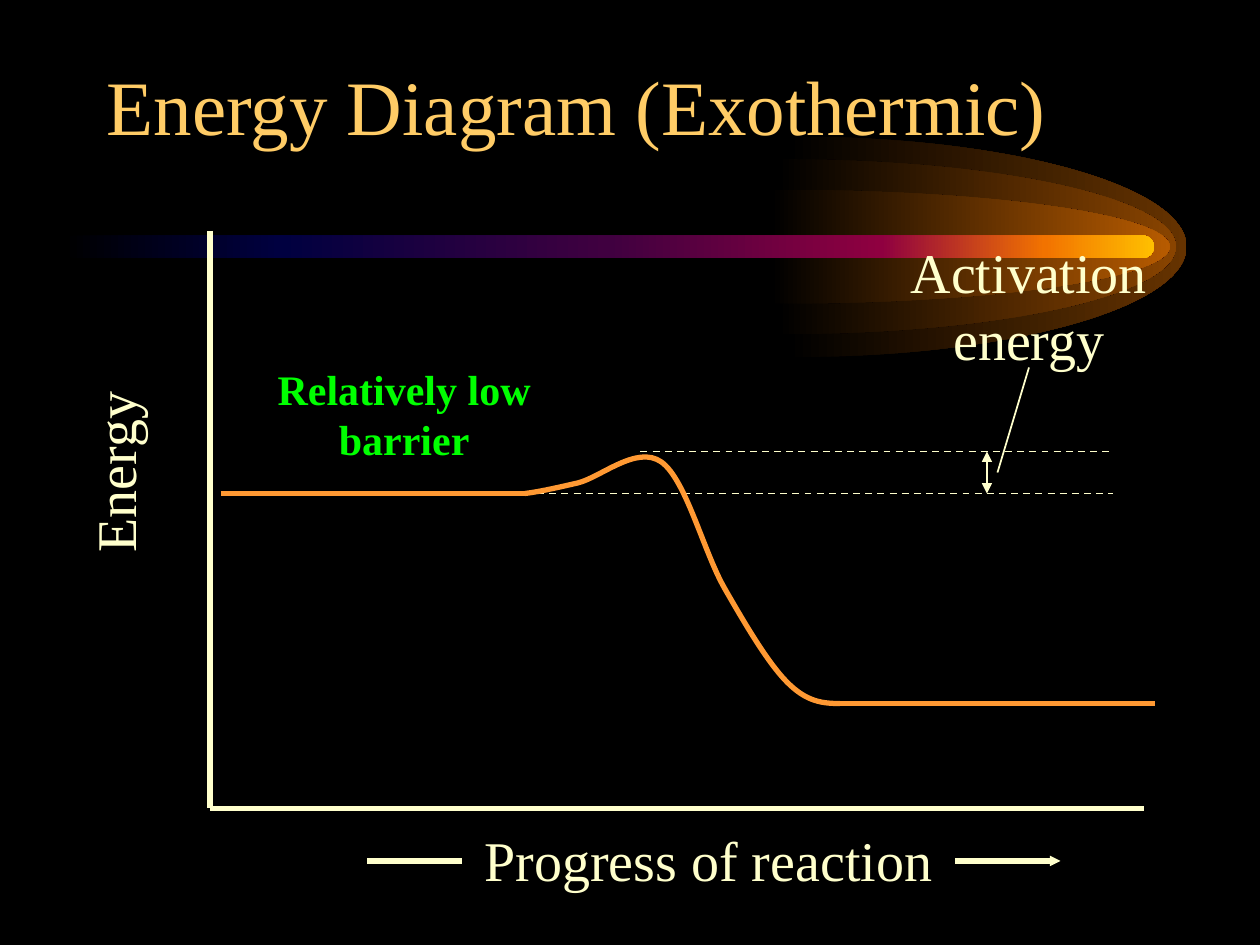
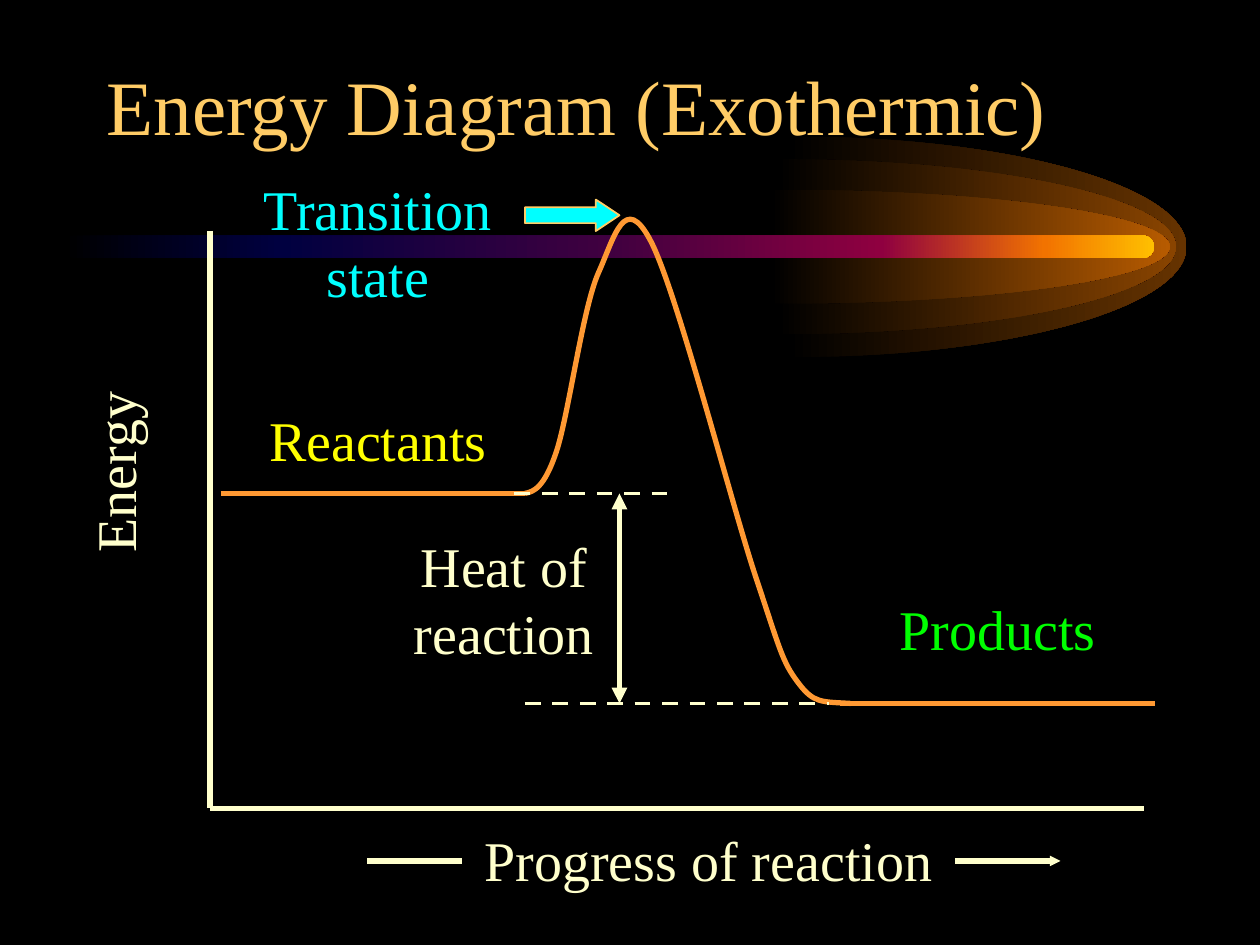
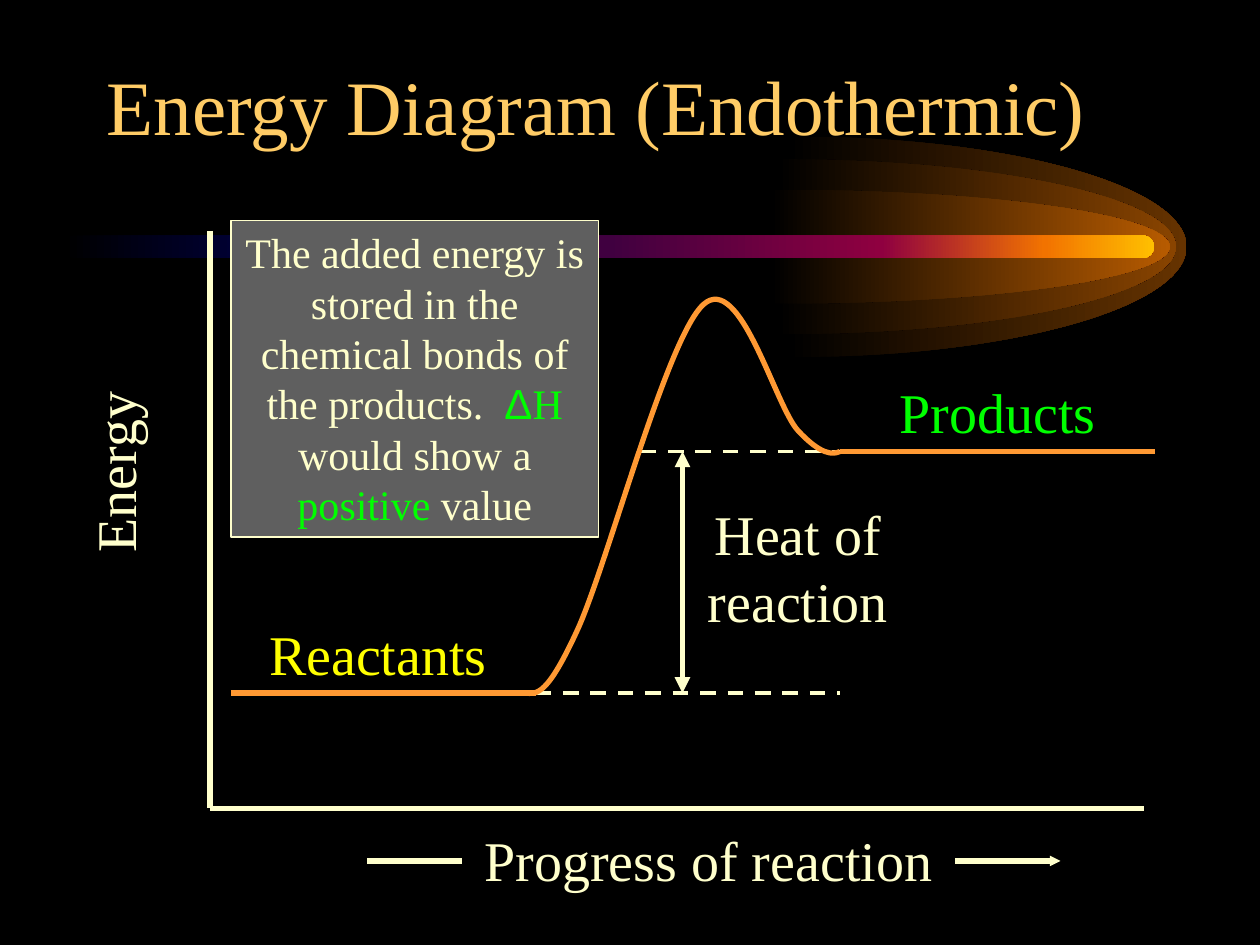
from dataclasses import dataclass
from typing import Any, Union

from lxml.etree import SubElement
from pptx import Presentation
from pptx.dml.color import RGBColor
from pptx.enum.dml import MSO_LINE
from pptx.enum.shapes import MSO_CONNECTOR, MSO_SHAPE
from pptx.enum.text import MSO_ANCHOR, PP_ALIGN
from pptx.oxml.ns import qn
from pptx.util import Pt

COLORS = {
    "black": "000000",
    "title": "FFCC66",
    "cream": "FFFFCC",
    "orange": "FF9933",
    "yellow": "FFFF00",
    "green": "00FF00",
    "cyan": "00FFFF",
    "gray": "5F5F5F",
    "glow_outer": "663300",
    "glow_middle": "894400",
    "glow_inner": "B75B00",
    "navy": "000040",
    "plum": "400040",
    "crimson": "8F0040",
    "flame": "F27300",
    "gold": "FFBF00",
}
SERIF = "Times New Roman"
BAND_Y = 141
LEFT_SIDE, RIGHT_SIDE = 1, 3
Point = tuple[float, float]
Segment = tuple[Point, Point, Point]


@dataclass(frozen=True)
class Run:
    text: str
    color: str = "cream"
    font: str = SERIF


@dataclass(frozen=True)
class Label:
    runs: tuple[Run, ...]
    left: float
    top: float
    width: float = 192
    height: float = 45.4
    size: float = 32
    bold: bool = False
    rotation: float = 0
    align: PP_ALIGN = PP_ALIGN.CENTER
    anchor: MSO_ANCHOR = MSO_ANCHOR.TOP
    fill: str = ""


@dataclass(frozen=True)
class Line:
    start: Point
    end: Point
    color: str = "cream"
    width: float = 3
    dashed: bool = False
    heads: tuple[str, ...] = ()
    head_size: str = "med"


@dataclass(frozen=True)
class Curve:
    start: Point
    segments: tuple[Segment, ...]
    corners: tuple[Point, ...] = ()


@dataclass(frozen=True)
class Pointer:
    left: float
    top: float
    width: float
    height: float


@dataclass(frozen=True)
class Glow:
    center_x: float
    radius_y: float
    color: str


@dataclass(frozen=True)
class Diagram:
    title: str
    items: tuple[Union[Label, Line, Curve, Pointer], ...]


BOTH = ("headEnd", "tailEnd")
GLOWS = (
    Glow(453, 63, "glow_outer"),
    Glow(447, 50, "glow_middle"),
    Glow(443.5, 32.6, "glow_inner"),
)
BAND_STOPS = ((0, "black"), (20, "navy"), (50, "plum"),
              (75, "crimson"), (90, "flame"), (100, "gold"))


def word(text: str, left: float, top: float, color: str = "cream", **options: Any) -> Label:
    return Label((Run(text, color),), left, top, **options)


def level(x1: float, x2: float, y: float) -> Line:
    return Line((x1, y), (x2, y), "orange")


def guide(x1: float, x2: float, y: float, width: float = 2.25) -> Line:
    return Line((x1, y), (x2, y), width=width, dashed=True)


def span(x: float, y1: float, y2: float, width: float = 3) -> Line:
    return Line((x, y1), (x, y2), width=width, heads=BOTH)


AXES = (Line((120, 132), (120, 462)), Line((120, 462), (654, 462)))
ENERGY = word("Energy", -31, 247, rotation=270)
PROGRESS = word("Progress of reaction", 264, 468, width=282, height=48)
PROGRESS_ARROW = Line((546, 492), (606, 492), heads=("tailEnd",), head_size="sm")
PROGRESS_LINE = Line((210, 492), (264, 492))

DIAGRAMS = (
    Diagram("Energy Diagram (Exothermic)", (
        level(126, 300, 282),
        level(480, 660, 402),
        word("Activation energy", 492, 132, height=84),
        guide(300, 636, 282, 1),
        guide(366, 636, 258, 1),
        word("Relatively low barrier", 126, 204, "green",
             width=210, height=65, size=24, bold=True),
        Curve((300, 282), (
            ((308, 281), (317, 279), (330, 276)),
            ((343, 273), (364, 254), (378, 264)),
            ((392, 274), (402, 315), (414, 336)),
            ((426, 357), (439, 379), (450, 390)),
            ((461, 401), (470, 402), (480, 402)),
        )),
        span(564, 258, 282, 1),
        Line((588, 210), (570, 270), width=1),
    )),
    Diagram("Energy Diagram (Exothermic)", (
        word("Reactants", 120, 228, "yellow"),
        level(126, 300, 282),
        level(480, 660, 402),
        Curve((300, 282), (
            ((305, 281), (311, 279), (318, 258)),
            ((325, 237), (333, 176), (342, 156)),
            ((351, 136), (357, 109), (372, 138)),
            ((387, 167), (418, 288), (432, 330)),
            ((446, 372), (447, 378), (456, 390)),
            ((465, 402), (469, 401), (486, 402)),
        )),
        word("Products", 474, 336, "green"),
        guide(294, 384, 282),
        guide(300, 474, 402),
        word("Heat of reaction", 192, 300, height=84),
        span(354, 282, 402),
        word("Transition state", 120, 96, "cyan", height=84),
        Pointer(300, 114, 54, 18),
    )),
    Diagram("Energy Diagram (Endothermic)", (
        word("Reactants", 120, 350.5, "yellow"),
        level(132, 306, 396),
        level(480, 660, 258),
        word("Products", 474, 212, "green"),
        guide(366, 480, 258),
        guide(306, 480, 396),
        word("Heat of reaction", 360, 282, height=84),
        span(390, 258, 396),
        Curve((300, 396), (
            ((307, 397), (313, 397), (330, 360)),
            ((347, 323), (381, 193), (402, 174)),
            ((423, 155), (443, 232), (456, 246)),
            ((469, 260), (476, 260), (480, 258)),
        )),
        Label((
            Run("The added energy is stored in the chemical bonds of the products.  "),
            Run("Δ", "green", "Arial"),
            Run("H", "green"),
            Run(" would show a "),
            Run("positive", "green"),
            Run(" value"),
        ), 132, 126, 210, 181, size=24, fill="gray"),
    )),
)


def rgb(name: str) -> RGBColor:
    return RGBColor.from_string(COLORS[name])


def apply(target: Any, formats: dict[str, Any]) -> None:
    for name, value in formats.items():
        setattr(target, name, value)


def set_line(line: Any, color: str, width: float) -> None:
    line.color.rgb = rgb(color)
    line.width = Pt(width)


def set_fill(sp: Any, color: str) -> None:
    sp.fill.solid()
    sp.fill.fore_color.rgb = rgb(color)


def set_gradient(sp: Any, stops: tuple[tuple[int, str], ...]) -> None:
    sp.shadow.inherit = False
    sp.line.fill.background()
    sp.fill.gradient()
    sp.fill.gradient_angle = 0
    stop_list = sp._element.spPr.find(".//" + qn("a:gsLst"))
    stop_list.clear()
    for percent, color in stops:
        stop = SubElement(stop_list, qn("a:gs"), pos=str(percent * 1000))
        SubElement(stop, qn("a:srgbClr"), val=COLORS[color])


def build_curve(s: Any, curve: Curve) -> Any:
    points = [point for segment in curve.segments for point in segment]
    builder = s.shapes.build_freeform(*map(Pt, curve.start))
    builder.add_line_segments([(Pt(x), Pt(y)) for x, y in (*points, *curve.corners)],
                              close=bool(curve.corners))
    sp = builder.convert_to_shape()
    steps = list(sp._element.iter(qn("a:lnTo")))
    for i in range(0, len(points), 3):
        first, *controls = steps[i:i + 3]
        outline = first.getparent()
        bezier = outline.makeelement(qn("a:cubicBezTo"))
        outline.replace(first, bezier)
        bezier.append(first[0])
        for step in controls:
            bezier.append(step[0])
            outline.remove(step)
    return sp


def draw_curve(s: Any, curve: Curve) -> Any:
    sp = build_curve(s, curve)
    sp.shadow.inherit = False
    sp.fill.background()
    set_line(sp.line, "orange", 3)
    return sp


def draw_glow(s: Any, glow: Glow) -> None:
    x, ry, rx = glow.center_x, glow.radius_y, 225
    top, bottom, tip, bend = BAND_Y - ry, BAND_Y + ry, x + rx, 0.55
    outline = Curve((x - 3, top), (
        ((x - 3, top), (x, top), (x, top)),
        ((x + bend * rx, top), (tip, BAND_Y - bend * ry), (tip, BAND_Y)),
        ((tip, BAND_Y + bend * ry), (x + bend * rx, bottom), (x, bottom)),
        ((x, bottom), (x - 3, bottom), (x - 3, bottom)),
    ), ((x, BAND_Y), (x - 3, top)))
    set_gradient(build_curve(s, outline), ((0, "black"), (100, glow.color)))


def draw_label(s: Any, label: Label) -> Any:
    box = [Pt(v) for v in (label.left, label.top, label.width, label.height)]
    if label.fill:
        sp = s.shapes.add_shape(MSO_SHAPE.RECTANGLE, *box)
        sp.shadow.inherit = False
        set_fill(sp, label.fill)
        set_line(sp.line, "cream", 1)
    else:
        sp = s.shapes.add_textbox(*box)
    sp.rotation = label.rotation
    tf = sp.text_frame
    apply(tf, {"word_wrap": True, "vertical_anchor": label.anchor})
    p = tf.paragraphs[0]
    p.alignment = label.align
    for run in label.runs:
        r = p.add_run()
        r.text = run.text
        apply(r.font, {"name": run.font, "size": Pt(label.size), "bold": label.bold})
        r.font.color.rgb = rgb(run.color)
    return sp


def draw_line(s: Any, line: Line) -> Any:
    ends = [Pt(v) for v in (*line.start, *line.end)]
    cx = s.shapes.add_connector(MSO_CONNECTOR.STRAIGHT, *ends)
    set_line(cx.line, line.color, line.width)
    if line.dashed:
        cx.line.dash_style = MSO_LINE.DASH
    sp_pr = cx._element.spPr
    for head in line.heads:
        SubElement(sp_pr.find(qn("a:ln")), qn("a:" + head),
                   type="triangle", w=line.head_size, len=line.head_size)
    SubElement(sp_pr, qn("a:effectLst"))
    return cx


def draw_pointer(s: Any, pointer: Pointer) -> Any:
    box = [Pt(v) for v in (pointer.left, pointer.top, pointer.width, pointer.height)]
    sp = s.shapes.add_shape(MSO_SHAPE.RIGHT_ARROW, *box)
    sp.adjustments[1] = 0.75
    sp.shadow.inherit = False
    set_fill(sp, "cyan")
    set_line(sp.line, "title", 1)
    return sp


def draw_frame(s: Any, title: str) -> None:
    s.background.fill.solid()
    s.background.fill.fore_color.rgb = rgb("black")
    for glow in GLOWS:
        draw_glow(s, glow)
    band = s.shapes.add_shape(MSO_SHAPE.ROUNDED_RECTANGLE,
                              Pt(36), Pt(BAND_Y - 6.5), Pt(623.5), Pt(13))
    band.adjustments[0] = 0.5
    set_gradient(band, BAND_STOPS)
    draw_label(s, word(title, 54, 0, "title", width=612, height=90, size=44,
                       align=PP_ALIGN.LEFT, anchor=MSO_ANCHOR.BOTTOM))
    draw_label(s, ENERGY)
    progress = draw_label(s, PROGRESS)
    for axis in AXES:
        draw_line(s, axis)
    draw_line(s, PROGRESS_ARROW).begin_connect(progress, RIGHT_SIDE)
    draw_line(s, PROGRESS_LINE).end_connect(progress, LEFT_SIDE)


DRAW = {Label: draw_label, Line: draw_line, Curve: draw_curve, Pointer: draw_pointer}


def main() -> None:
    prs = Presentation()
    apply(prs, {"slide_width": Pt(720), "slide_height": Pt(540)})
    for diagram in DIAGRAMS:
        s = prs.slides.add_slide(prs.slide_layouts[6])
        draw_frame(s, diagram.title)
        for item in diagram.items:
            DRAW[type(item)](s, item)
    prs.save("out.pptx")


if __name__ == "__main__":
    main()
